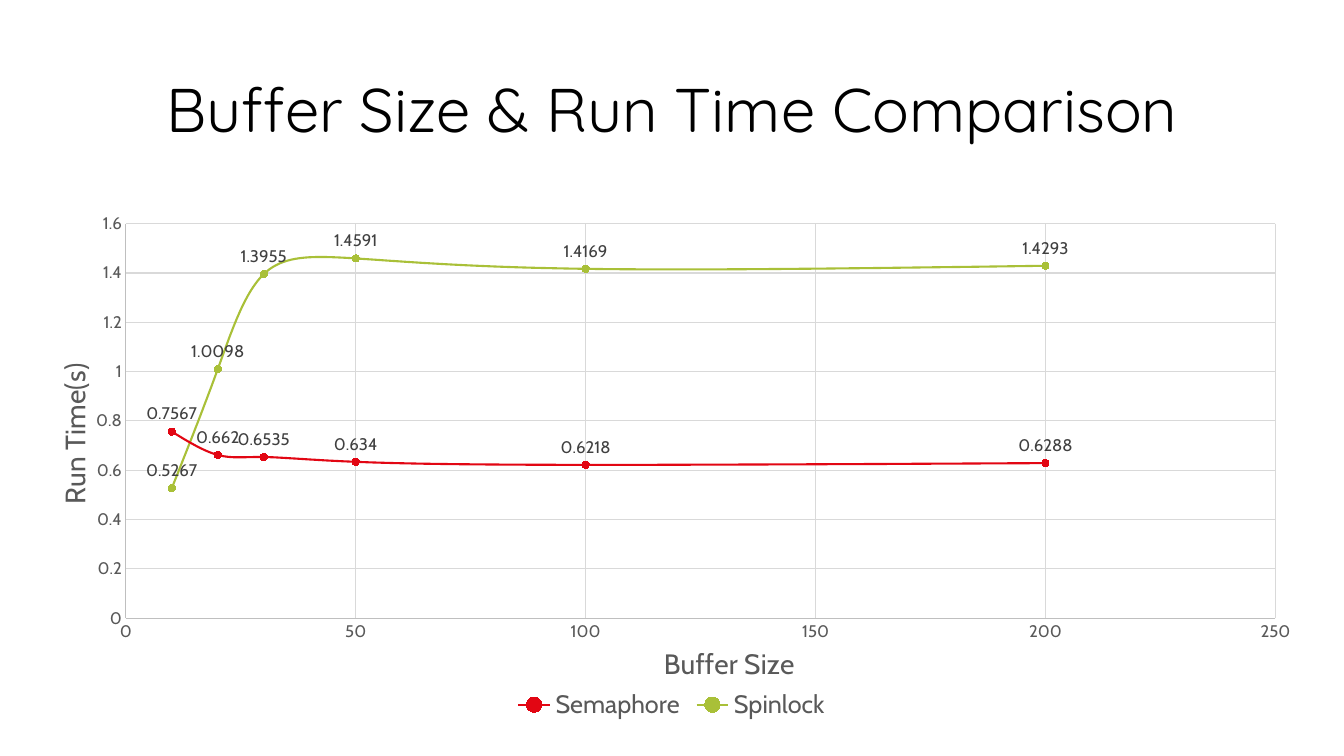
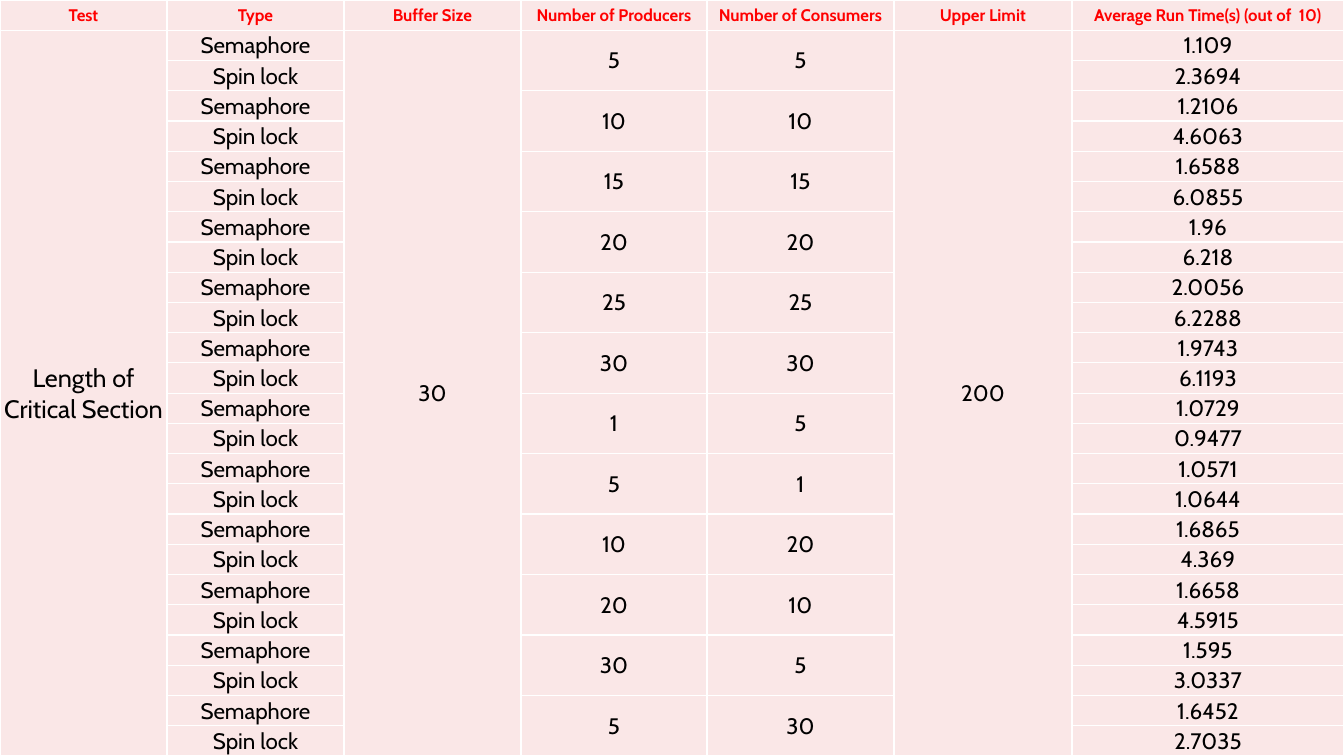
from lxml.etree import SubElement
from pptx import Presentation
from pptx.chart.data import XyChartData
from pptx.chart.datalabel import DataLabels
from pptx.dml.color import RGBColor
from pptx.enum.chart import (XL_CHART_TYPE, XL_LABEL_POSITION as LABEL_AT,
                             XL_LEGEND_POSITION as LEGEND_AT, XL_MARKER_STYLE as MARKER,
                             XL_TICK_MARK as TICK)
from pptx.enum.text import MSO_ANCHOR as ANCHOR, PP_ALIGN as ALIGN
from pptx.oxml.ns import qn
from pptx.util import Emu, Pt

WIDTH, HEIGHT = 1344, 756
SCALE = 12192000 / WIDTH
BODY_FONT, TITLE_FONT = "Cabin", "Quicksand"
BLACK, WHITE, RED, PINK = "000000", "FFFFFF", "FF0000", "FAE7E7"
GRAY, LABEL_GRAY, AXIS_GRAY, GRID_GRAY = "595959", "404040", "BFBFBF", "D9D9D9"


def px(length):
    return Emu(round(length * SCALE))


def style(font, size, color, name=BODY_FONT, bold=False):
    font.size, font.name, font.bold = Pt(size), name, bold
    font.color.rgb = RGBColor.from_string(color)


deck = Presentation()
deck.slide_width, deck.slide_height = px(WIDTH), px(HEIGHT)
blank = deck.slide_layouts[6]

# Slide 1: run time chart
page = deck.slides.add_slide(blank)
box = page.shapes.add_textbox(px(93), px(40), px(1159), px(146))
box.text_frame.word_wrap = True
box.text_frame.vertical_anchor = ANCHOR.MIDDLE
para = box.text_frame.paragraphs[0]
para.alignment, para.line_spacing = ALIGN.CENTER, 0.9
span = para.add_run()
span.text = "Buffer Size & Run Time Comparison"
style(span.font, 44, BLACK, TITLE_FONT)

buffer_sizes = [10, 20, 30, 50, 100, 200]
run_times = {
    "Semaphore": ("E20613", [0.7567, 0.662, 0.6535, 0.634, 0.6218, 0.6288]),
    "Spinlock": ("A9C038", [0.5267, 1.0098, 1.3955, 1.4591, 1.4169, 1.4293]),
}
data = XyChartData()
for name, (color, times) in run_times.items():
    points = data.add_series(name)
    for size, time in zip(buffer_sizes, times):
        points.add_data_point(size, time)
chart = page.shapes.add_chart(XL_CHART_TYPE.XY_SCATTER_SMOOTH, px(37), px(186),
                              px(1269), px(539), data).chart
style(chart.font, 10, BLACK)
chart.has_title = False
chart.has_legend = True
chart.legend.position = LEGEND_AT.BOTTOM
chart.legend.include_in_layout = False
style(chart.legend.font, 18, GRAY)
plot = chart.plots[0]
plot.vary_by_categories = False

for series, (color, times) in zip(plot.series, run_times.values()):
    fill_color = RGBColor.from_string(color)
    series.format.line.width = Pt(1.5)
    series.format.line.color.rgb = fill_color
    series.marker.style, series.marker.size = MARKER.CIRCLE, 5
    series.marker.format.fill.solid()
    series.marker.format.fill.fore_color.rgb = fill_color
    series.marker.format.line.color.rgb = fill_color
    for smooth in series._element.findall(qn("c:smooth")):
        smooth.set("val", "1")
    labels = DataLabels(series._element.get_or_add_dLbls())
    labels.show_value, labels.position = True, LABEL_AT.ABOVE
    style(labels.font, 12, LABEL_GRAY)

axes = [
    (chart.category_axis, "Buffer Size", 250, 50, 0, {"x": 0.49, "y": 0.84}),
    (chart.value_axis, "Run Time(s)", 1.6, 0.2, -90, {"x": 0.01, "y": 0.32}),
]
layouts = [(chart._chartSpace.chart.plotArea,
            {"layoutTarget": "inner", "xMode": "edge", "yMode": "edge",
             "x": 0.07, "y": 0.07, "w": 0.906, "h": 0.732})]
for axis, name, top, step, angle, place in axes:
    axis.minimum_scale, axis.maximum_scale, axis.major_unit = 0, top, step
    axis.major_tick_mark = axis.minor_tick_mark = TICK.NONE
    axis.has_major_gridlines = True
    style(axis.tick_labels.font, 12, GRAY)
    for line, color in ((axis.format.line, AXIS_GRAY),
                        (axis.major_gridlines.format.line, GRID_GRAY)):
        line.width = Pt(0.75)
        line.color.rgb = RGBColor.from_string(color)
    frame = axis.axis_title.text_frame
    span = frame.paragraphs[0].add_run()
    span.text = name
    style(span.font, 20, GRAY)
    frame._txBody.find(qn("a:bodyPr")).set("rot", str(angle * 60000))
    layouts.append((axis.axis_title._element, {"xMode": "edge", "yMode": "edge", **place}))

for parent, settings in layouts:
    layout = parent.find(qn("c:layout"))
    if layout is None:
        layout = SubElement(parent, qn("c:layout"))
        parent.insert(1 if parent.tag == qn("c:title") else 0, layout)
    manual = SubElement(layout, qn("c:manualLayout"))
    for key, value in settings.items():
        SubElement(manual, qn("c:" + key)).set("val", str(value))

# Slide 2: table of test runs
page = deck.slides.add_slide(blank)
headers = ["Test", "Type", "Buffer Size", "Number of Producers", "Number of Consumers",
           "Upper Limit", "Average Run Time(s) (out of  10)"]
widths = [167, 177, 177, 186, 187, 178, 272]
tests = [  # producers, consumers, semaphore time, spin lock time
    ("5", "5", "1.109", "2.3694"),
    ("10", "10", "1.2106", "4.6063"),
    ("15", "15", "1.6588", "6.0855"),
    ("20", "20", "1.96", "6.218"),
    ("25", "25", "2.0056", "6.2288"),
    ("30", "30", "1.9743", "6.1193"),
    ("1", "5", "1.0729", "0.9477"),
    ("5", "1", "1.0571", "1.0644"),
    ("10", "20", "1.6865", "4.369"),
    ("20", "10", "1.6658", "4.5915"),
    ("30", "5", "1.595", "3.0337"),
    ("5", "30", "1.6452", "2.7035"),
]
row_count = 1 + 2 * len(tests)
table = page.shapes.add_table(row_count, len(headers), 0, 0, px(WIDTH), px(HEIGHT)).table
for column, width in zip(table.columns, widths):
    column.width = px(width)
for row in table.rows:
    row.height = px(HEIGHT / row_count)

for cell in table.iter_cells():
    cell.margin_left = cell.margin_right = cell.margin_top = px(1)
    cell.margin_bottom = 0
    cell.vertical_anchor = ANCHOR.MIDDLE
    properties = cell._tc.get_or_add_tcPr()
    for side in ("lnL", "lnR", "lnT", "lnB"):
        border = SubElement(properties, qn("a:" + side), w=str(Pt(1)))
        SubElement(SubElement(border, qn("a:solidFill")), qn("a:srgbClr"), val=WHITE)
    cell.fill.solid()
    cell.fill.fore_color.rgb = RGBColor.from_string(PINK)

# Each entry: row, column, rows spanned, text, size
entries = [(0, column, 1, header, 12) for column, header in enumerate(headers)]
entries += [(1, 0, row_count - 1, "Length of Critical Section", 18),
            (1, 2, row_count - 1, "30", 16),
            (1, 5, row_count - 1, "200", 16)]
for index, (producers, consumers, semaphore, spin_lock) in enumerate(tests):
    first = 1 + 2 * index
    entries += [(first, 3, 2, producers, 16), (first, 4, 2, consumers, 16),
                (first, 1, 1, "Semaphore", 16), (first, 6, 1, semaphore, 16),
                (first + 1, 1, 1, "Spin lock", 16), (first + 1, 6, 1, spin_lock, 16)]

for row, column, rows_spanned, text, size in entries:
    cell = table.cell(row, column)
    if rows_spanned > 1:
        cell.merge(table.cell(row + rows_spanned - 1, column))
    para = cell.text_frame.paragraphs[0]
    para.alignment = ALIGN.CENTER
    span = para.add_run()
    span.text = text
    is_header = row == 0
    style(span.font, size, RED if is_header else BLACK, bold=is_header)

deck.save("out.pptx")
